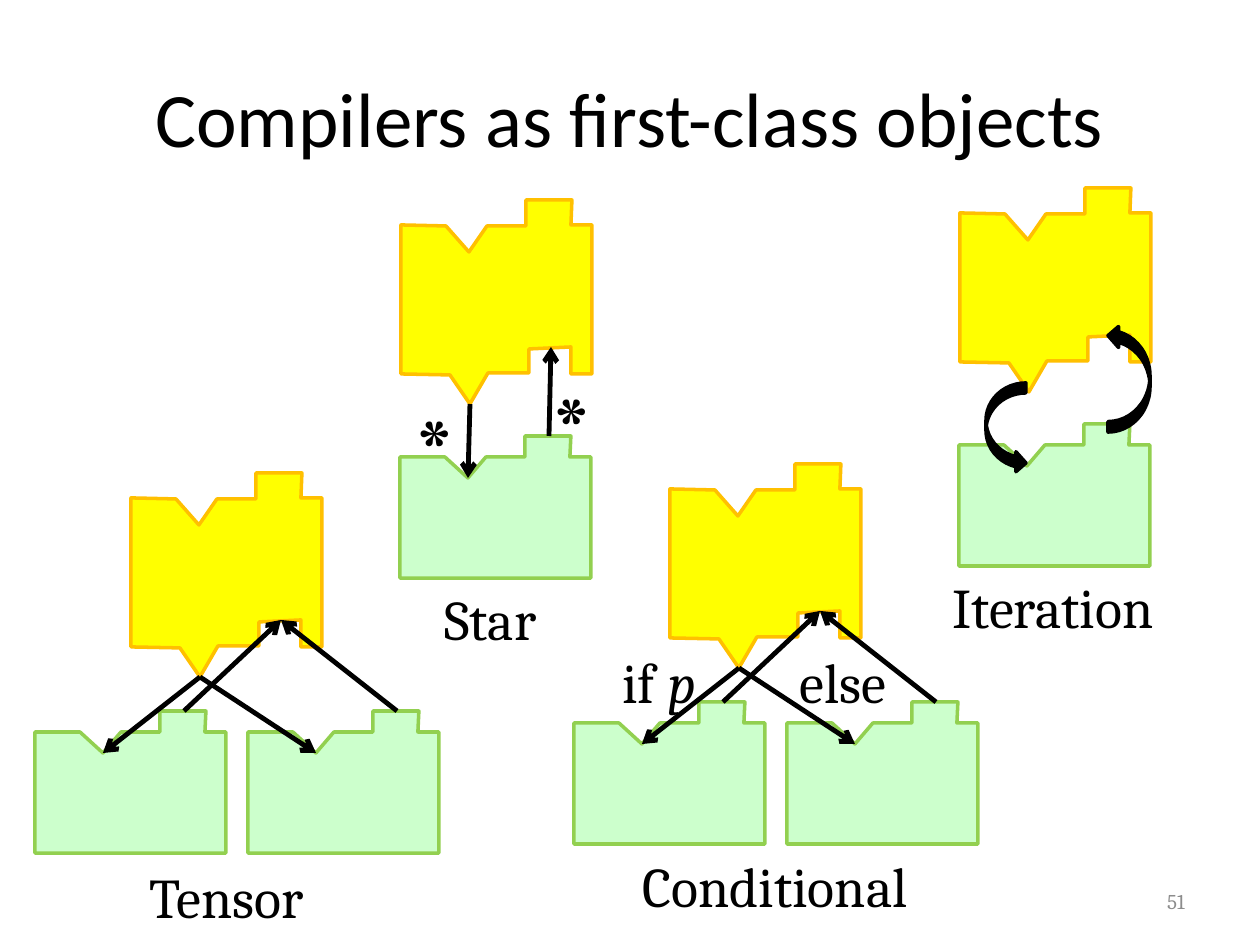
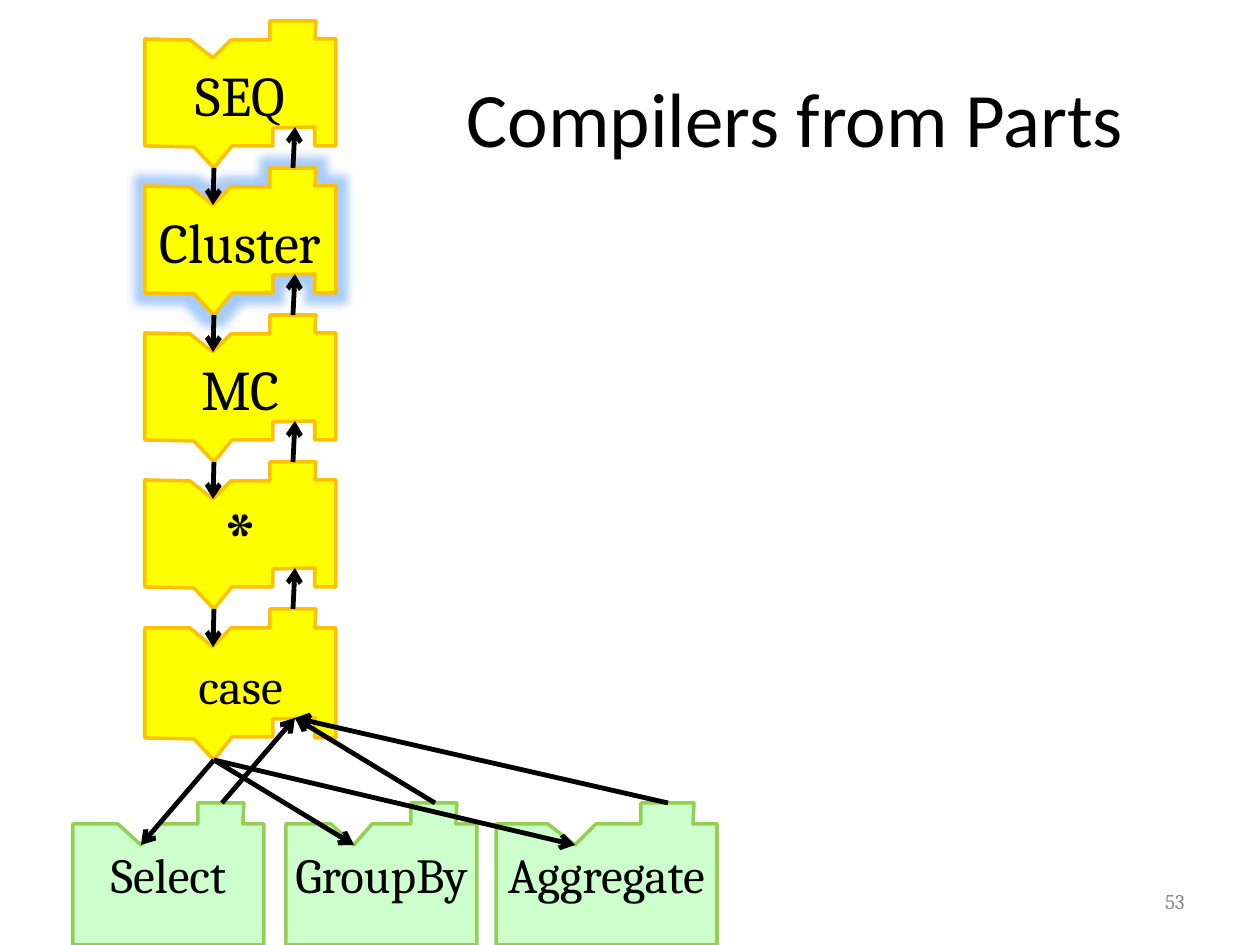
import dataclasses

import pptx
import pptx.dml.color
import pptx.enum.shapes
import pptx.enum.text
import pptx.oxml
import pptx.oxml.ns
import pptx.util

SCALE = 914400 / 126
ALIGN = pptx.enum.text.PP_ALIGN
ANCHOR = pptx.enum.text.MSO_ANCHOR
SHAPE = pptx.enum.shapes.MSO_SHAPE


@dataclasses.dataclass(frozen=True)
class Theme:
    ink: str = "000000"
    muted: str = "8C8C8C"
    compiler_fill: str = "FFFF00"
    compiler_line: str = "FFC000"
    source_fill: str = "CCFFCC"
    source_line: str = "92D050"
    glow: str = "267DED"
    heading: str = "Calibri"
    body: str = "Cambria"
    title: int = 44
    label: int = 32
    small_label: int = 28
    piece_star: int = 48
    star: int = 54
    number: int = 12
    outline: float = 2
    arrow: float = 2.75


T = Theme()


@dataclasses.dataclass(frozen=True)
class Kind:
    width: int
    height: int
    fill: str
    line: str
    outline: tuple
    anchors: dict


COMPILER = Kind(
    191, 204, T.compiler_fill, T.compiler_line,
    ((0, 25), (45, 26), (68, 52), (86, 26), (125, 26), (125, 0), (171, 0),
     (170, 25), (191, 25), (191, 174), (170, 174), (170, 147), (128, 149),
     (128, 173), (87, 173), (69, 204), (49, 175), (0, 174)),
    {"notch": (68, 52), "tab": (148, 0), "tip": (69, 204), "socket": (150, 147)})
SOURCE = Kind(
    191, 142, T.source_fill, T.source_line,
    ((0, 21), (45, 21), (68, 42), (86, 21), (125, 21), (125, 0), (171, 0),
     (170, 21), (191, 21), (191, 142), (0, 142)),
    {"notch": (68, 42), "tab": (149, 0)})


def px(v):
    return round(v * SCALE)


def box(*lengths):
    return [px(v) for v in lengths]


def rgb(value):
    return pptx.dml.color.RGBColor.from_string(value)


def apply(obj, fmt):
    for name, value in fmt.items():
        setattr(obj, name, value)


def paint(sp, fill, line):
    sp.shadow.inherit = False
    sp.fill.solid()
    sp.fill.fore_color.rgb = rgb(fill)
    sp.line.color.rgb = rgb(line)
    sp.line.width = pptx.util.Pt(T.outline)


def write(sp, runs, size, font=T.body, color=T.ink, align=ALIGN.LEFT,
          anchor=ANCHOR.TOP, wrap=True, bold=False):
    tf = sp.text_frame
    apply(tf, {"word_wrap": wrap, "vertical_anchor": anchor})
    p = tf.paragraphs[0]
    p.alignment = align
    for text, italic in runs:
        r = p.add_run()
        r.text = text
        apply(r.font, {"name": font, "size": pptx.util.Pt(size),
                       "bold": bold, "italic": italic})
        r.font.color.rgb = rgb(color)


def text(shapes, at, words, size, **fmt):
    runs = [(words, False)] if isinstance(words, str) else words
    write(shapes.add_textbox(*box(*at)), runs, size, **fmt)


def piece(shapes, kind, x, y, width=None, height=None, label=None, size=T.label):
    sx = (width or kind.width) / kind.width
    sy = (height or kind.height) / kind.height

    def place(point):
        return round(x + point[0] * sx), round(y + point[1] * sy)

    points = [place(point) for point in kind.outline]
    builder = shapes.build_freeform(*points[0], scale=SCALE)
    builder.add_line_segments(points[1:], close=True)
    sp = builder.convert_to_shape()
    paint(sp, kind.fill, kind.line)
    if label:
        write(sp, [(label, False)], size, align=ALIGN.CENTER,
              anchor=ANCHOR.MIDDLE, wrap=False)
    return sp, {name: place(point) for name, point in kind.anchors.items()}


def arrow(shapes, start, end):
    sp = shapes.add_connector(pptx.enum.shapes.MSO_CONNECTOR.STRAIGHT,
                              *box(*start, *end))
    sp.line.color.rgb = rgb(T.ink)
    sp.line.width = pptx.util.Pt(T.arrow)
    ln = sp._element.spPr.find(pptx.oxml.ns.qn("a:ln"))
    ln.append(pptx.oxml.parse_xml(
        f'<a:tailEnd {pptx.oxml.ns.nsdecls("a")} type="arrow"/>'))
    sp._element.spPr.append(pptx.oxml.parse_xml(
        f'<a:effectLst {pptx.oxml.ns.nsdecls("a")}/>'))


def link(shapes, upper, lower):
    arrow(shapes, upper["tip"], lower["notch"])
    arrow(shapes, lower["tab"], upper["socket"])


def loop_arrow(shapes, at, rotation):
    sp = shapes.add_shape(SHAPE.CURVED_RIGHT_ARROW, *box(*at))
    paint(sp, T.ink, T.ink)
    sp.rotation = rotation


def glow(sp):
    effects = sp._element.spPr.find(pptx.oxml.ns.qn("a:effectLst"))
    effects.append(pptx.oxml.parse_xml(
        f'<a:glow {pptx.oxml.ns.nsdecls("a")} rad="{px(19)}">'
        f'<a:srgbClr val="{T.glow}"><a:alpha val="40000"/></a:srgbClr></a:glow>'))


def pair(shapes, x, y):
    upper = piece(shapes, COMPILER, x, y)[1]
    lower = piece(shapes, SOURCE, x - 1, y + 236)[1]
    return upper, lower


def fork(shapes, x, y):
    upper = piece(shapes, COMPILER, x, y)[1]
    lowers = [piece(shapes, SOURCE, x + dx, y + 238)[1] for dx in (-96, 117)]
    for lower in lowers:
        link(shapes, upper, lower)


def new_slide(prs, title, left, number):
    s = prs.slides.add_slide(prs.slide_layouts[6])
    text(s.shapes, (left, 38, 1197 - left, 158), title, T.title, font=T.heading,
         align=ALIGN.CENTER, anchor=ANCHOR.MIDDLE)
    text(s.shapes, (903, 876, 294, 50), number, T.number, color=T.muted,
         align=ALIGN.RIGHT, anchor=ANCHOR.MIDDLE)
    return s


def combinators(prs):
    s = new_slide(prs, "Compilers as first-class objects", 63, "51")

    tensor = s.shapes.add_group_shape().shapes
    fork(tensor, 131, 473)
    text(tensor, (137, 856, 205, 80), "Tensor", T.label)

    star = s.shapes.add_group_shape().shapes
    link(star, *pair(star, 401, 200))
    for x, y in ((402, 383), (539, 361)):
        text(star, (x, y, 73, 127), "*", T.star, bold=True)
    text(star, (432, 578, 130, 80), "Star", T.label)

    iteration = s.shapes.add_group_shape().shapes
    pair(iteration, 960, 188)
    loop_arrow(iteration, (986, 383, 40, 90), 0)
    loop_arrow(iteration, (1108, 325, 42, 107), 180)
    text(iteration, (940, 566, 246, 80), "Iteration", T.label)

    conditional = s.shapes.add_group_shape().shapes
    fork(conditional, 670, 464)
    text(conditional, (610, 641, 106, 80), [("if ", False), ("p", True)], T.label)
    text(conditional, (787, 641, 130, 80), "else", T.label)
    text(conditional, (630, 845, 310, 80), "Conditional", T.label)


def stack(prs):
    s = new_slide(prs, "Compilers from Parts", 394, "53")
    left, top, pitch = 145, 21, 147

    case = piece(s.shapes, COMPILER, left, top + 4 * pitch, height=151,
                 label="case", size=T.small_label)[1]
    sources = [piece(s.shapes, SOURCE, x, 803, width, label=label,
                     size=T.small_label)[1]
               for label, x, width in (("Select", 73, 191), ("GroupBy", 286, 191),
                                       ("Aggregate", 496, 221))]
    for source in sources:
        link(s.shapes, case, source)

    lower = case
    layers = (("SEQ", T.label), ("Cluster", T.label), ("MC", T.label),
              ("*", T.piece_star))
    for row, (label, size) in reversed(list(enumerate(layers))):
        sp, upper = piece(s.shapes, COMPILER, left, top + row * pitch,
                          height=pitch, label=label, size=size)
        if label == "Cluster":
            glow(sp)
        link(s.shapes, upper, lower)
        lower = upper


def main():
    prs = pptx.Presentation()
    apply(prs, {"slide_width": px(1260), "slide_height": px(945)})
    combinators(prs)
    stack(prs)
    prs.save("out.pptx")


if __name__ == "__main__":
    main()
